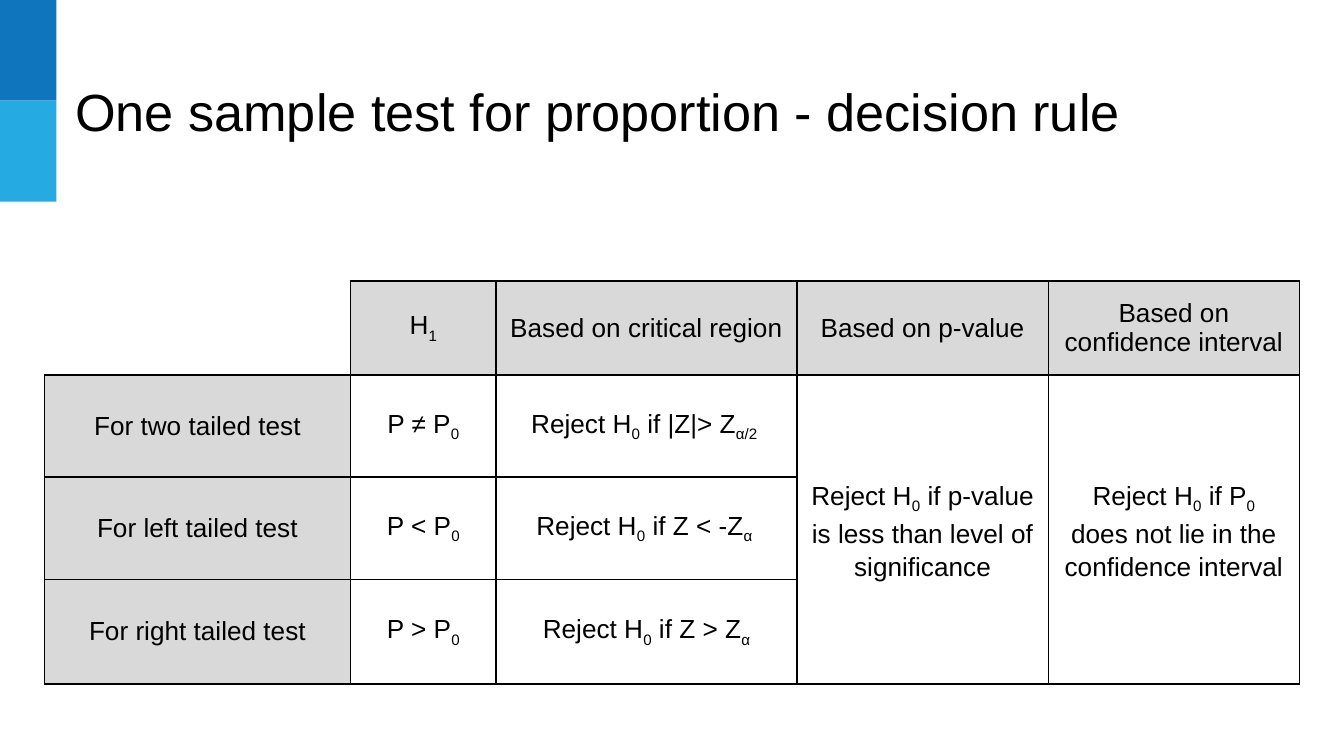
from dataclasses import dataclass
from pptx import Presentation
from pptx.dml.color import RGBColor
from pptx.enum.shapes import MSO_SHAPE
from pptx.enum.text import MSO_ANCHOR, MSO_AUTO_SIZE, PP_ALIGN
from pptx.oxml import parse_xml
from pptx.oxml.ns import nsdecls
from pptx.util import Inches, Pt

RECT = MSO_SHAPE.RECTANGLE
TOP, MIDDLE = MSO_ANCHOR.TOP, MSO_ANCHOR.MIDDLE
LEFT, CENTER = PP_ALIGN.LEFT, PP_ALIGN.CENTER
NO_FIT = MSO_AUTO_SIZE.NONE


@dataclass(frozen=True)
class Theme:
    font: str = "Arial"
    ink: str = "000000"
    head: str = "D9D9D9"
    bars: tuple = ("0F75BD", "25AAE2")
    title: int = 28
    body: int = 14
    rule: float = 0.75


THEME = Theme()

# Content: text between tildes is subscript
TITLE = "One sample test for proportion - decision rule"
ROWS = [
    ["", "H~1~", "Based on critical region", "Based on p-value",
     "Based on confidence interval"],
    ["For two tailed test", "P ≠ P~0~", "Reject H~0~ if |Z|> Z~α/2 ~",
     "Reject H~0~ if p-value is less than level of significance",
     "Reject H~0~ if P~0~ does not lie in the confidence interval"],
    ["For left tailed test", "P < P~0~", "Reject H~0~ if Z < -Z~α ~"],
    ["For right tailed test", "P > P~0~", "Reject H~0~ if Z > Z~α~"],
]
COLS = [2.28, 1.08, 2.24, 1.87, 1.87]
TALL = [0.7, 0.76, 0.76, 0.78]
MERGED = (3, 4)
PAD = Inches(0.1)


def write(para, text, size):
    for i, part in enumerate(text.split("~")):
        if part:
            run = para.add_run()
            run.text = part
            font = run.font
            font.name, font.size = THEME.font, Pt(size)
            font.color.rgb = RGBColor.from_string(THEME.ink)
            if i % 2:
                run._r.get_or_add_rPr().set("baseline", "-25000")


def paint(fill, color):
    fill.solid()
    fill.fore_color.rgb = RGBColor.from_string(color)


def pad(box):
    box.margin_left = box.margin_right = PAD
    box.margin_top = box.margin_bottom = PAD


def border(cell, sides):
    props = cell._tc.get_or_add_tcPr()
    for i, side in enumerate("LRTB"):
        drawn = side in sides
        ink = (f'<a:solidFill><a:srgbClr val="{THEME.ink}"/></a:solidFill>'
               if drawn else "<a:noFill/>")
        width = Pt(THEME.rule) if drawn else 0
        props.insert(i, parse_xml(
            f'<a:ln{side} {nsdecls("a")} w="{width}">{ink}</a:ln{side}>'))


# Slide in 16:9
deck = Presentation()
deck.slide_width = Inches(10)
deck.slide_height = deck.slide_width * 9 // 16
slide = deck.slides.add_slide(deck.slide_layouts[5])

# Corner bars
wide, high = Inches(0.42), Inches(0.75)
for i, color in enumerate(THEME.bars):
    bar = slide.shapes.add_shape(RECT, 0, i * high, wide, high)
    bar.shadow.inherit = False
    paint(bar.fill, color)
    bar.line.fill.background()

# Title
title = slide.shapes.title
title.left, title.top = Inches(0.46), Inches(0.49)
title.width, title.height = Inches(8.46), Inches(0.63)
frame = title.text_frame
frame.auto_size, frame.word_wrap = NO_FIT, True
frame.vertical_anchor = TOP
pad(frame)
frame.paragraphs[0].alignment = LEFT
write(frame.paragraphs[0], TITLE, THEME.title)

# Table grid
table = slide.shapes.add_table(
    len(TALL), len(COLS), Inches(0.33), Inches(2.09),
    Inches(sum(COLS)), Inches(sum(TALL))).table
table.first_row = table.horz_banding = False
for col, size in zip(table.columns, COLS):
    col.width = Inches(size)
for row, size in zip(table.rows, TALL):
    row.height = Inches(size)
for c in MERGED:
    table.cell(1, c).merge(table.cell(len(TALL) - 1, c))

# Table cells
for r in range(len(TALL)):
    for c in range(len(COLS)):
        cell = table.cell(r, c)
        corner = r == c == 0
        if (r == 0 or c == 0) and not corner:
            paint(cell.fill, THEME.head)
        else:
            cell.fill.background()
        border(cell, "RB" if corner else "LRTB")
        cell.vertical_anchor = MIDDLE
        pad(cell)
        if c < len(ROWS[r]):
            para = cell.text_frame.paragraphs[0]
            para.alignment = CENTER
            if r and c in MERGED:
                para.line_spacing = 1.15
            write(para, ROWS[r][c], THEME.body)

deck.save("out.pptx")
